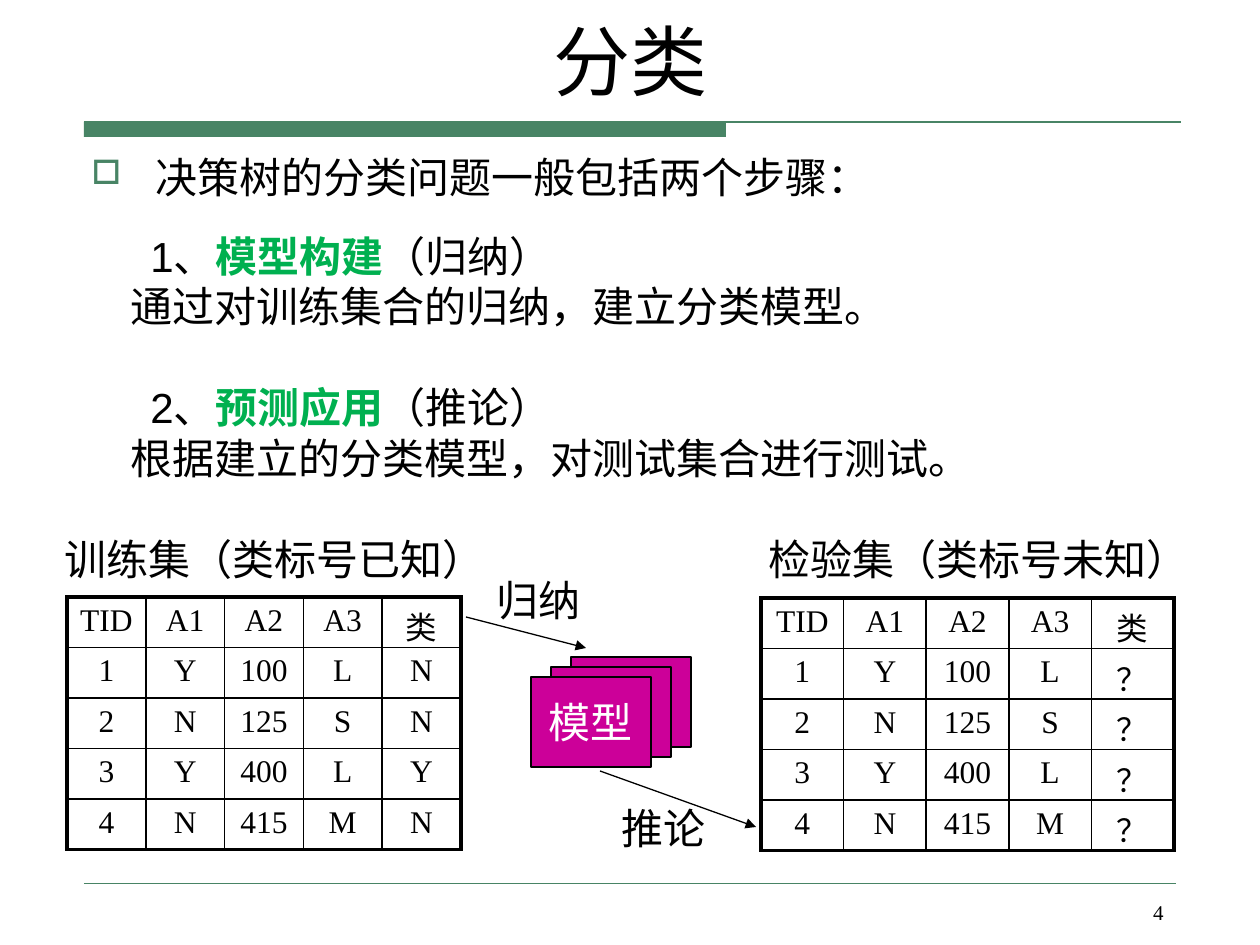
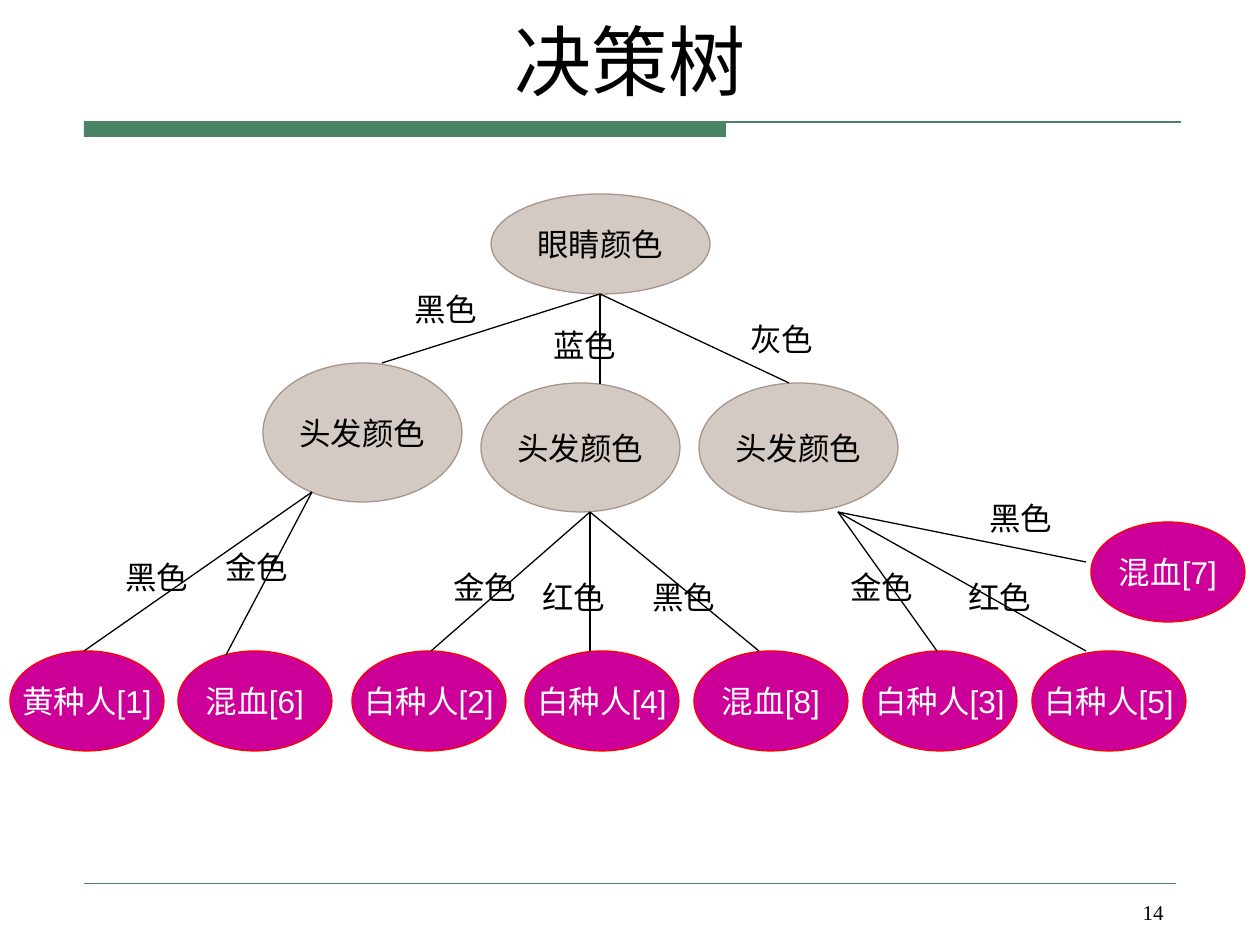
from lxml import etree
from pptx import Presentation
from pptx.dml.color import RGBColor
from pptx.enum.shapes import MSO_CONNECTOR, MSO_SHAPE
from pptx.enum.text import MSO_ANCHOR as ANCHOR, PP_ALIGN as ALIGN
from pptx.oxml import parse_xml
from pptx.oxml.ns import nsdecls, qn
from pptx.util import Pt

PX = 914400 / 126
COLORS = {"green": "488465", "key": "00B050", "black": "000000", "white": "FFFFFF",
          "magenta": "CC0099", "red": "FF0000", "beige": "D3CAC4", "brown": "A89589"}
CJK = "Noto Sans CJK SC"


def write(frame, runs, size, color="black", font="Arial", align=ALIGN.LEFT,
          anchor=ANCHOR.TOP, wrap=False, paragraph=None):
    """Put (text, color, bold) runs, or one plain string, into a paragraph of the frame."""
    frame.word_wrap = wrap
    frame.vertical_anchor = anchor
    paragraph = paragraph or frame.paragraphs[0]
    paragraph.alignment = align
    if isinstance(runs, str):
        runs = [(runs, color, False)]
    for text, run_color, bold in runs:
        run = paragraph.add_run()
        run.text = text
        for name, value in {"name": font, "size": Pt(size), "bold": bold}.items():
            setattr(run.font, name, value)
        run.font.color.rgb = RGBColor.from_string(COLORS[run_color])
        run.font._element.find(qn("a:latin")).addnext(
            parse_xml(f'<a:ea {nsdecls("a")} typeface="{CJK}"/>'))


def add_line(slide, x1, y1, x2, y2, color="black", width=0.75, arrow=False):
    ends = [round(value * PX) for value in (x1, y1, x2, y2)]
    connector = slide.shapes.add_connector(MSO_CONNECTOR.STRAIGHT, *ends)
    connector.line.color.rgb = RGBColor.from_string(COLORS[color])
    connector.line.width = Pt(width)
    if arrow:
        etree.SubElement(connector.line._ln, qn("a:tailEnd"), type="triangle")
    etree.SubElement(connector._element.spPr, qn("a:effectLst"))


presentation = Presentation()
presentation.slide_width = round(1260 * PX)
presentation.slide_height = round(945 * PX)

# What both slides share: title, green band, footer rule and page number
slides = []
for title, title_font, number in [("分类", "Times New Roman", "4"), ("决策树", CJK, "14")]:
    slide = presentation.slides.add_slide(presentation.slide_layouts[6])
    slides.append(slide)
    band = slide.shapes.add_shape(
        MSO_SHAPE.RECTANGLE, *[round(value * PX) for value in (84, 122, 642, 15)])
    band.shadow.inherit = False
    band.fill.solid()
    band.fill.fore_color.rgb = RGBColor.from_string(COLORS["green"])
    band.line.fill.background()
    add_line(slide, 84, 122, 1181, 122, "green")
    add_line(slide, 84, 883, 1176, 883, "green", 0.25)
    box = slide.shapes.add_textbox(*[round(value * PX) for value in (79, -4, 1103, 116)])
    write(box.text_frame, title, 44, font=title_font, align=ALIGN.CENTER,
          anchor=ANCHOR.BOTTOM, wrap=True)
    box = slide.shapes.add_textbox(*[round(value * PX) for value in (903, 893, 273, 66)])
    write(box.text_frame, number, 12, font="Times New Roman", align=ALIGN.RIGHT, wrap=True)

# Slide 1: the two steps of classification
steps_slide, tree_slide = slides
box = steps_slide.shapes.add_textbox(*[round(value * PX) for value in (79, 145, 1169, 89)])
paragraph = box.text_frame.paragraphs[0]
properties = paragraph._p.get_or_add_pPr()
properties.set("marL", str(round(64 * PX)))
properties.set("indent", str(round(-64 * PX)))
for bullet in (f'<a:buClr {nsdecls("a")}><a:srgbClr val="{COLORS["green"]}"/></a:buClr>',
               f'<a:buSzPct {nsdecls("a")} val="80000"/>',
               f'<a:buChar {nsdecls("a")} char="□"/>'):
    properties.append(parse_xml(bullet))
write(box.text_frame, "决策树的分类问题一般包括两个步骤：", 24, wrap=True)

box = steps_slide.shapes.add_textbox(*[round(value * PX) for value in (34, 224, 1192, 267)])
steps = [("1、", "模型构建", "（归纳）", "通过对训练集合的归纳，建立分类模型。"),
         ("2、", "预测应用", "（推论）", "根据建立的分类模型，对测试集合进行测试。")]
for index, (number, name, kind, detail) in enumerate(steps):
    heading = [(number, "black", False), (name, "key", True), (kind, "black", False)]
    for runs, indent in [(heading, 104), (detail, 84)]:
        first = index == 0 and runs is heading
        paragraph = box.text_frame.paragraphs[0] if first else box.text_frame.add_paragraph()
        paragraph._p.get_or_add_pPr().set("marL", str(round(indent * PX)))
        if index and runs is heading:
            paragraph.space_before = Pt(29)
        write(box.text_frame, runs, 24, wrap=True, paragraph=paragraph)

# Training and test tables differ only in place and in the class column
records = [("TID", "A1", "A2", "A3"), ("1", "Y", "100", "L"), ("2", "N", "125", "S"),
           ("3", "Y", "400", "L"), ("4", "N", "415", "M")]
for left, top, width, classes in [(67, 597, 394, "类NNYN"), (761, 598, 413, "类？？？？")]:
    frame = steps_slide.shapes.add_table(
        5, 5, *[round(value * PX) for value in (left, top, width, 252)])
    table = frame.table
    for row, (record, class_label) in enumerate(zip(records, classes)):
        for column, text in enumerate((*record, class_label)):
            cell = table.cell(row, column)
            cell.fill.background()
            write(cell.text_frame, text, 18, font="Times New Roman",
                  align=ALIGN.CENTER, wrap=True)
            outer = {"L": column == 0, "R": column == 4, "T": row == 0, "B": row == 4}
            borders = [
                f'<a:ln{side} {nsdecls("a")} w="{Pt(2.25 if edge else 1)}"><a:solidFill>'
                f'<a:srgbClr val="{COLORS["black"]}"/></a:solidFill></a:ln{side}>'
                for side, edge in outer.items()]
            for position, border in enumerate(borders):
                cell._tc.get_or_add_tcPr().insert(position, parse_xml(border))

# Stacked model cards between the tables
for left, top, text in [(571, 657, ""), (551, 667, ""), (531, 677, "模型")]:
    card = steps_slide.shapes.add_shape(
        MSO_SHAPE.RECTANGLE, *[round(value * PX) for value in (left, top, 120, 90)])
    card.shadow.inherit = False
    card.fill.solid()
    card.fill.fore_color.rgb = RGBColor.from_string(COLORS["magenta"])
    card.line.color.rgb = RGBColor.from_string(COLORS["black"])
    card.line.width = Pt(0.75)
    if text:
        write(card.text_frame, text, 24, "white", align=ALIGN.CENTER, anchor=ANCHOR.MIDDLE)
add_line(steps_slide, 466, 617, 586, 648, arrow=True)
add_line(steps_slide, 600, 771, 756, 827, arrow=True)

# Slide 2: decision tree, as (text, left, top, width, height)
questions = [("眼睛颜色", 491, 194, 219, 100), ("头发颜色", 263, 363, 199, 139),
             ("头发颜色", 481, 383, 199, 129), ("头发颜色", 699, 383, 199, 129)]
bottom_leaves = [("黄种人[1]", 10), ("混血[6]", 178), ("白种人[2]", 352), ("白种人[4]", 525),
                 ("混血[8]", 694), ("白种人[3]", 863), ("白种人[5]", 1032)]
leaves = [(text, left, 651, 154, 100) for text, left in bottom_leaves]
leaves.append(("混血[7]", 1091, 522, 154, 100))
for nodes, fill, line, color in [(questions, "beige", "brown", "black"),
                                 (leaves, "magenta", "red", "white")]:
    for text, *place in nodes:
        node = tree_slide.shapes.add_shape(
            MSO_SHAPE.OVAL, *[round(value * PX) for value in place])
        node.shadow.inherit = False
        node.fill.solid()
        node.fill.fore_color.rgb = RGBColor.from_string(COLORS[fill])
        node.line.color.rgb = RGBColor.from_string(COLORS[line])
        node.line.width = Pt(0.75)
        write(node.text_frame, text, 18, color, align=ALIGN.CENTER, anchor=ANCHOR.MIDDLE)

# Each fork starts at one point and fans out to its branch ends
forks = {(600, 294): [(382, 363), (600, 384), (789, 383)],
         (312, 492): [(84, 651), (226, 655)],
         (590, 512): [(431, 651), (590, 651), (759, 651)],
         (838, 512): [(937, 651), (1086, 651), (1086, 562)]}
for start, ends in forks.items():
    for end in ends:
        add_line(tree_slide, *start, *end)

# Free labels on both slides
labels = [(steps_slide, 24, 63, [("训练集（类标号已知）", 52, 527, 445),
                                 ("检验集（类标号未知）", 756, 527, 445),
                                 ("归纳", 484, 568, 110), ("推论", 609, 796, 110)]),
          (tree_slide, 18, 50, [("黑色", 402, 284, 89), ("蓝色", 541, 320, 89),
                                ("灰色", 738, 314, 89), ("黑色", 113, 552, 89),
                                ("金色", 213, 542, 89), ("金色", 441, 562, 89),
                                ("红色", 530, 572, 89), ("黑色", 640, 572, 89),
                                ("金色", 838, 562, 89), ("红色", 956, 572, 89),
                                ("黑色", 977, 493, 89)])]
for slide, size, height, items in labels:
    for text, left, top, width in items:
        box = slide.shapes.add_textbox(
            *[round(value * PX) for value in (left, top, width, height)])
        write(box.text_frame, text, size)

presentation.save("out.pptx")
